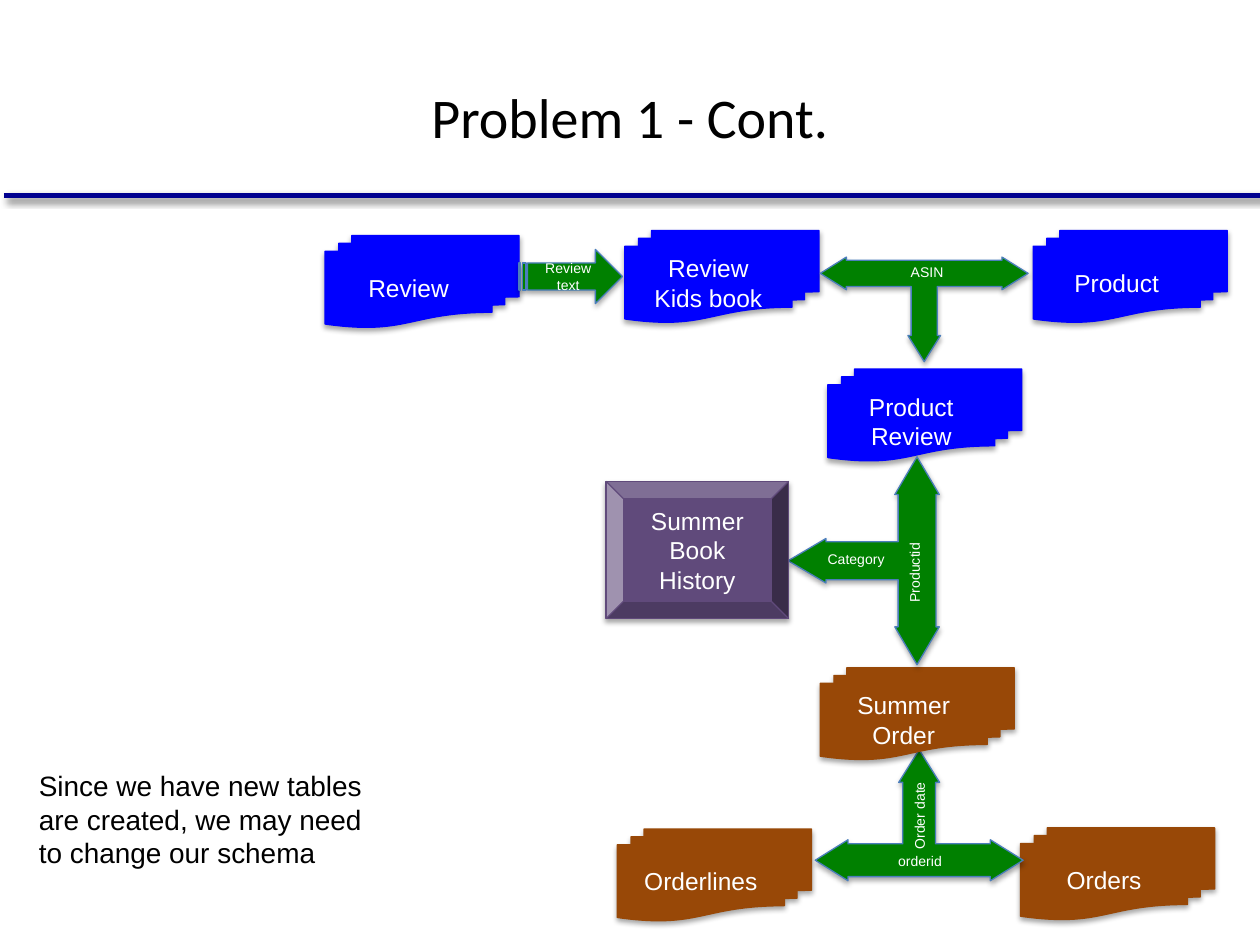
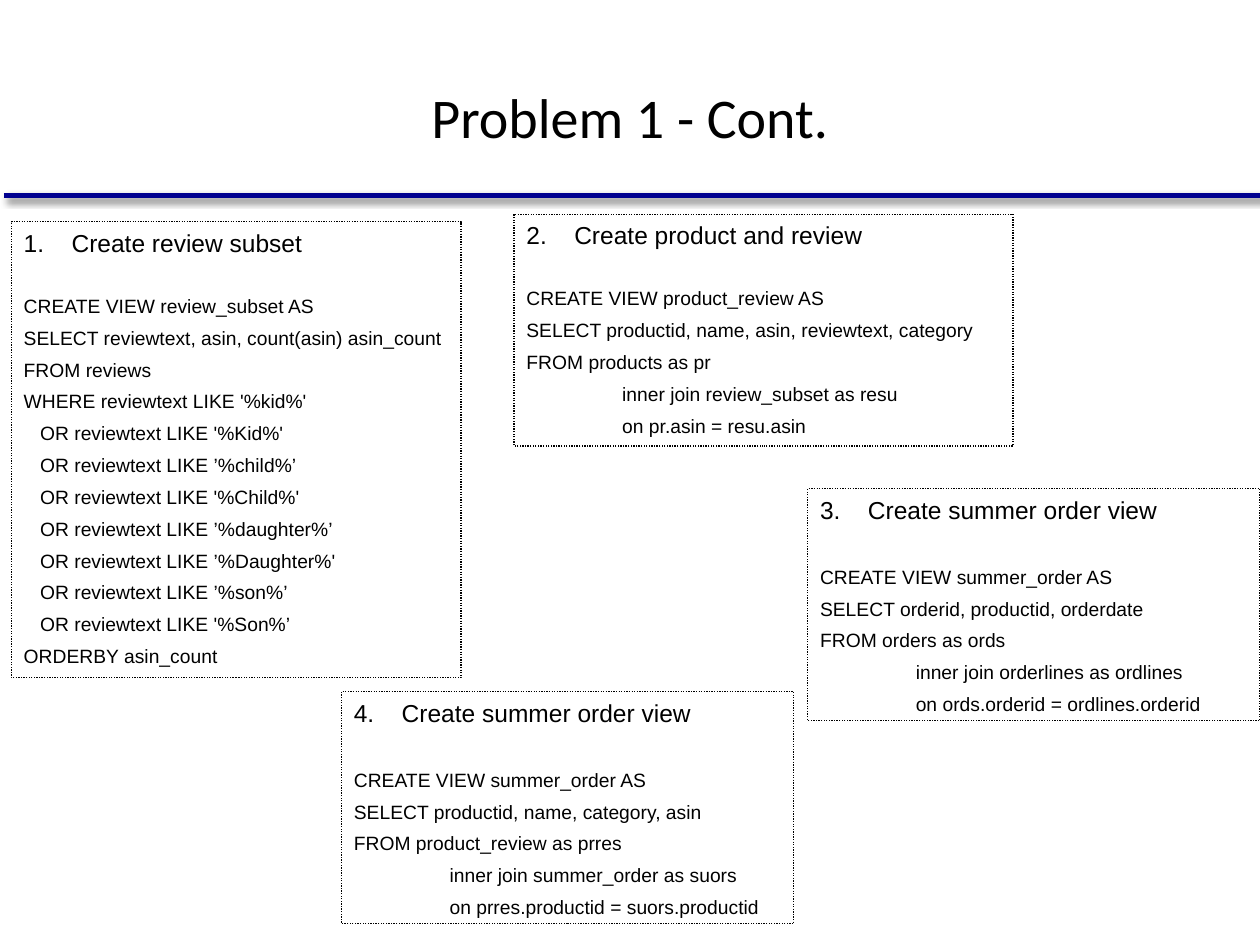
from lxml import etree
from pptx import Presentation
from pptx.dml.color import RGBColor
from pptx.enum import dml, shapes, text
from pptx.oxml.ns import qn
from pptx.util import Inches, Pt

BLACK, WHITE, NAVY = "000000", "FFFFFF", "000090"
BLUE, BROWN, PURPLE = "0000FF", "984807", "604A7B"
GREEN, ARROW_EDGE = "008000", "4B7EBC"
SHAPE = shapes.MSO_SHAPE
CENTER = text.PP_ALIGN.CENTER
DOCUMENT_SIZE = (1.54, 0.73)
CLAUSE, JOIN = 0.13, 0.76  # indents of SQL continuation lines


def color(hex_value):
    return RGBColor.from_string(hex_value)


def place(left, top, width, height):
    return [Inches(value) for value in (left, top, width, height)]


def add_shadow(shape, opacity, blur, distance, angle):
    """Give a shape or connector a black outer shadow (percent, points, degrees)."""
    effects = etree.SubElement(shape._element.spPr, qn("a:effectLst"))
    outer = etree.SubElement(
        effects, qn("a:outerShdw"), blurRad=str(Pt(blur)), dist=str(Pt(distance)),
        dir=str(angle * 60000), algn="ctr", rotWithShape="0")
    black = etree.SubElement(outer, qn("a:srgbClr"), val=BLACK)
    etree.SubElement(black, qn("a:alpha"), val=str(opacity * 1000))


def indent(paragraph, margin, first_line=0):
    properties = paragraph._p.get_or_add_pPr()
    properties.set("marL", str(Inches(margin)))
    properties.set("indent", str(Inches(first_line)))
    return properties


class Deck:
    def __init__(self):
        self.presentation = Presentation()
        self.presentation.slide_width = Inches(10)
        self.presentation.slide_height = Inches(7.5)
        self.slide = None

    def style(self, paragraph, size, hex_value=BLACK, align=None, font="Arial"):
        paragraph.alignment = align
        for run in paragraph.runs:
            run.font.name, run.font.size = font, Pt(size)
            run.font.color.rgb = color(hex_value)

    def new_slide(self, title):
        """Start a slide with its title and the rule beneath it."""
        self.slide = self.presentation.slides.add_slide(
            self.presentation.slide_layouts[5])
        heading = self.slide.shapes.title
        heading.left, heading.top, heading.width, heading.height = place(
            0.5, 0.3, 9, 1.25)
        heading.text_frame.text = title
        heading.text_frame.vertical_anchor = text.MSO_ANCHOR.MIDDLE
        self.style(heading.text_frame.paragraphs[0], 32, BLACK, CENTER, "Calibri")
        rule = self.slide.shapes.add_connector(
            shapes.MSO_CONNECTOR.STRAIGHT, *place(0.03, 1.55, 10, 1.55))
        rule.line.color.rgb = color(NAVY)
        rule.line.width = Pt(3)
        add_shadow(rule, 40, 4, 3, 45)

    def block(self, kind, box, fill, edge, words="", size=14):
        """Add a filled preset shape with a soft shadow and white centred text."""
        block = self.slide.shapes.add_shape(kind, *place(*box))
        block.fill.solid()
        block.fill.fore_color.rgb = color(fill)
        block.line.color.rgb = color(edge)
        block.line.width = Pt(0.75)
        add_shadow(block, 35, 3.1, 1.8, 90)
        if words:
            block.text_frame.text = words
            for paragraph in block.text_frame.paragraphs:
                self.style(paragraph, size, WHITE, CENTER)
        return block

    def document(self, left, top, words, fill):
        self.block(SHAPE.FLOWCHART_MULTIDOCUMENT, (left, top, *DOCUMENT_SIZE),
                   fill, fill, words)

    def junction(self, box, rotation=0, spread=0.156):
        """Add a three-headed arrow joining tables on a key."""
        arrow = self.block(SHAPE.LEFT_RIGHT_UP_ARROW, box, GREEN, ARROW_EDGE)
        arrow.rotation = rotation
        for index, value in enumerate((0.25, spread, 0.25)):
            arrow.adjustments[index] = value

    def textbox(self, box, words, size, hex_value=BLACK, wrap=True, rotation=0):
        note = self.slide.shapes.add_textbox(*place(*box))
        note.rotation = rotation
        note.text_frame.text = words
        note.text_frame.word_wrap = wrap
        note.text_frame.auto_size = text.MSO_AUTO_SIZE.SHAPE_TO_FIT_TEXT
        for paragraph in note.text_frame.paragraphs:
            self.style(paragraph, size, hex_value)
        return note

    def key(self, left, top, width, words, rotation=0):
        """Label an arrow with its join key."""
        self.textbox((left, top, width, 0.24), words, 8, WHITE, False, rotation)

    def query(self, number, box, heading, gap, lines):
        """Add a dotted box with a numbered heading and (indent, text) SQL lines."""
        words = "\n".join([heading] + [line for _, line in lines])
        panel = self.textbox(box, words, 11)
        panel.text_frame.auto_size = text.MSO_AUTO_SIZE.NONE
        panel.line.color.rgb = color(BLACK)
        panel.line.width = Pt(0.75)
        panel.line.dash_style = dml.MSO_LINE.ROUND_DOT
        first, *statements = panel.text_frame.paragraphs
        self.style(first, 14)
        etree.SubElement(indent(first, 0.38, -0.38), qn("a:buAutoNum"),
                         type="arabicPeriod", startAt=str(number))
        for paragraph, (margin, _) in zip(statements, lines):
            paragraph.line_spacing = Pt(18.2)
            indent(paragraph, margin)
        statements[0].space_before = Pt(gap)


def build_schema(deck):
    deck.new_slide("Problem 1 - Cont.")
    for left, top, words, fill in (
            (2.58, 1.87, "Review", BLUE),
            (4.96, 1.83, "Review\nKids book", BLUE),
            (8.2, 1.83, "Product", BLUE),
            (6.57, 2.93, "Product\nReview", BLUE),
            (4.9, 6.58, "Orderlines", BROWN),
            (8.1, 6.57, "Orders", BROWN)):
        deck.document(left, top, words, fill)
    deck.block(SHAPE.STRIPED_RIGHT_ARROW, (4.12, 1.98, 0.82, 0.43),
               GREEN, ARROW_EDGE, "Review text", 8)
    deck.junction((6.51, 2.04, 1.65, 0.83), 180)
    deck.junction((6.47, 5.95, 1.65, 1.04))
    deck.document(6.51, 5.3, "Summer\nOrder", BROWN)
    deck.junction((6.03, 3.85, 1.65, 1.2), 270, 0.147)
    deck.block(SHAPE.BEVEL, (4.81, 3.82, 1.45, 1.09), PURPLE, PURPLE,
               "Summer\nBook\nHistory")
    deck.key(7.13, 2.04, 0.47, "ASIN")
    deck.key(7.03, 6.72, 0.55, "orderid")
    deck.key(6.91, 6.33, 0.78, "Order date", 270)
    deck.key(6.88, 4.38, 0.76, "Productid", 270)
    deck.key(6.47, 4.32, 0.66, "Category")
    deck.textbox((0.21, 6.05, 2.79, 0.91),
                 "Since we have new tables are created, "
                 "we may need to change our schema", 16)


def build_queries(deck):
    deck.new_slide("Problem 1 - Cont.")
    patterns = ("'%Kid%'", "’%child%’", "'%Child%'", "’%daughter%’",
                "’%Daughter%'", "’%son%’", "'%Son%’")
    deck.query(1, (0.09, 1.76, 3.57, 3.62), "Create review subset", 16, [
        (0, "CREATE VIEW review_subset AS"),
        (0, "SELECT reviewtext, asin, count(asin) asin_count"),
        (0, "FROM reviews"),
        (0, "WHERE reviewtext LIKE '%kid%'"),
        *[(CLAUSE, f"OR reviewtext LIKE {pattern}") for pattern in patterns],
        (0, "ORDERBY asin_count")])
    deck.query(2, (4.08, 1.7, 3.96, 1.84), "Create product and review", 16, [
        (0, "CREATE VIEW product_review AS"),
        (0, "SELECT productid, name, asin, reviewtext, category"),
        (0, "FROM products as pr"),
        (JOIN, "inner join review_subset as resu"),
        (JOIN, "on pr.asin = resu.asin")])
    deck.query(3, (6.41, 3.88, 3.59, 1.84), "Create summer order view", 18.2, [
        (0, "CREATE VIEW summer_order AS"),
        (0, "SELECT orderid, productid, orderdate"),
        (0, "FROM orders as ords"),
        (JOIN, "inner join orderlines as ordlines"),
        (JOIN, "on ords.orderid = ordlines.orderid")])
    deck.query(4, (2.71, 5.49, 3.59, 1.84), "Create summer order view", 18.2, [
        (0, "CREATE VIEW summer_order AS"),
        (0, "SELECT productid, name, category, asin"),
        (0, "FROM product_review as prres"),
        (JOIN, "inner join summer_order as suors"),
        (JOIN, "on prres.productid = suors.productid")])


def main():
    deck = Deck()
    build_schema(deck)
    build_queries(deck)
    deck.presentation.save("out.pptx")


if __name__ == "__main__":
    main()
